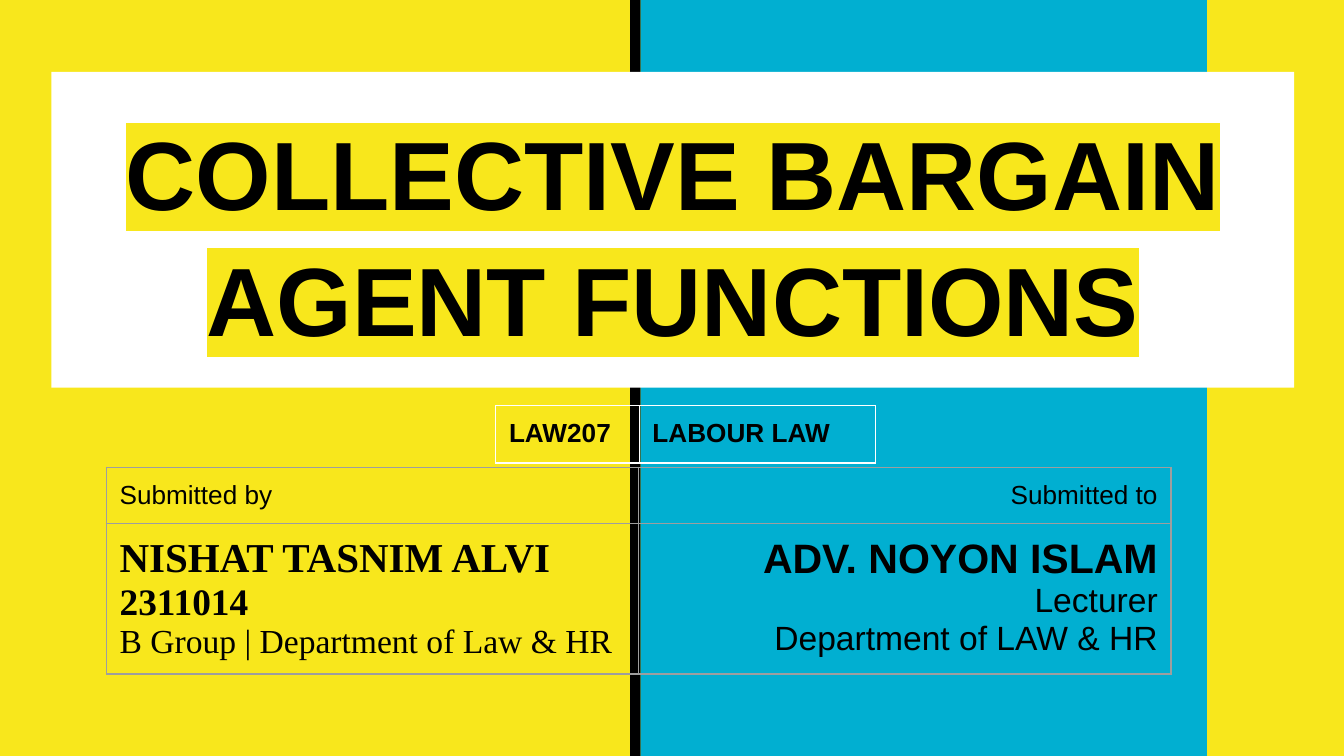
"""Build the title slide for a labour law presentation."""
from dataclasses import dataclass

from lxml import etree
from pptx import Presentation
from pptx.dml.color import RGBColor
from pptx.enum.shapes import MSO_SHAPE
from pptx.enum.text import MSO_ANCHOR, MSO_AUTO_SIZE, PP_ALIGN
from pptx.oxml.ns import qn
from pptx.util import Cm, Pt

RECTANGLE = MSO_SHAPE.RECTANGLE
LEFT, CENTER, RIGHT = PP_ALIGN.LEFT, PP_ALIGN.CENTER, PP_ALIGN.RIGHT
MIDDLE = MSO_ANCHOR.MIDDLE
NO_AUTOFIT = MSO_AUTO_SIZE.NONE

YELLOW = RGBColor(0xF8, 0xE7, 0x1C)
BLUE = RGBColor(0x01, 0xAF, 0xD1)
BLACK = RGBColor(0, 0, 0)
WHITE = RGBColor(0xFF, 0xFF, 0xFF)
GREY = RGBColor(0x9E, 0x9E, 0x9E)

SANS, SERIF = "Arial", "Times New Roman"
PAGE_WIDTH, PAGE_HEIGHT = 25.4, 14.29
INSET = Cm(0.25)


@dataclass
class Bar:
    left: float
    width: float
    color: RGBColor


@dataclass
class Line:
    text: str
    size: int = 14
    bold: bool = False
    font: str = SANS
    align: PP_ALIGN = LEFT


@dataclass
class Grid:
    left: float
    top: float
    columns: list[float]
    rows: list[float]
    border: RGBColor
    cells: list[list[list[Line]]]


BARS = [Bar(11.91, 0.2, BLACK), Bar(12.11, 10.7, BLUE)]

GRIDS = [
    Grid(2.01, 8.83, [10.06, 10.06], [1.06, 2.85], GREY, [
        [[Line("Submitted by")], [Line("Submitted to", align=RIGHT)]],
        [
            [
                Line("NISHAT TASNIM ALVI", 22, True, SERIF),
                Line("2311014", 20, True, SERIF),
                Line("B Group | Department of Law & HR", 18, font=SERIF),
            ],
            [
                Line("ADV. NOYON ISLAM", 22, True, align=RIGHT),
                Line("Lecturer", 18, align=RIGHT),
                Line("Department of LAW & HR", 18, align=RIGHT),
            ],
        ],
    ]),
    Grid(9.37, 7.67, [2.71, 4.46], [1.08], WHITE, [
        [[Line("LAW207", bold=True)], [Line("LABOUR LAW", bold=True)]],
    ]),
]


def draw_bar(page, bar: Bar) -> None:
    shape = page.shapes.add_shape(
        RECTANGLE, Cm(bar.left), 0, Cm(bar.width), Cm(PAGE_HEIGHT))
    shape.shadow.inherit = False
    shape.fill.solid()
    shape.fill.fore_color.rgb = bar.color
    shape.line.fill.background()


def add_color(parent, tag: str, color: RGBColor) -> None:
    holder = etree.SubElement(parent, qn(tag))
    etree.SubElement(holder, qn("a:srgbClr"), val=str(color))


def write_line(para, line: Line, highlight: RGBColor | None = None) -> None:
    para.alignment = line.align
    span = para.add_run()
    span.text = line.text
    span.font.size = Pt(line.size)
    span.font.bold = line.bold
    span.font.color.rgb = BLACK
    if highlight is not None:
        add_color(span.font.fill._xPr, "a:highlight", highlight)
    span.font.name = line.font


def set_insets(box) -> None:
    box.margin_left = box.margin_right = INSET
    box.margin_top = box.margin_bottom = INSET


def draw_title(page, line: Line) -> None:
    title = page.shapes.title
    title.element.getparent().append(title.element)
    title.left, title.top = Cm(0.97), Cm(1.36)
    title.width, title.height = Cm(23.49), Cm(5.97)
    title.fill.solid()
    title.fill.fore_color.rgb = WHITE
    box = title.text_frame
    set_insets(box)
    box.word_wrap = True
    box.auto_size = NO_AUTOFIT
    box.vertical_anchor = MIDDLE
    para = box.paragraphs[0]
    para.line_spacing = 1.08
    para.space_before = Pt(0)
    write_line(para, line, highlight=YELLOW)


def fill_cell(cell, lines: list[Line], border: RGBColor) -> None:
    set_insets(cell)
    properties = cell._tc.get_or_add_tcPr()
    for side in ("a:lnL", "a:lnR", "a:lnT", "a:lnB"):
        edge = etree.SubElement(properties, qn(side), w=str(Pt(0.75)))
        add_color(edge, "a:solidFill", border)
    cell.fill.background()
    box = cell.text_frame
    for index, line in enumerate(lines):
        para = box.add_paragraph() if index else box.paragraphs[0]
        write_line(para, line)


def draw_grid(page, grid: Grid) -> None:
    table = page.shapes.add_table(
        len(grid.rows), len(grid.columns), Cm(grid.left), Cm(grid.top),
        Cm(sum(grid.columns)), Cm(sum(grid.rows))).table
    table.first_row = table.horz_banding = False
    for column, width in zip(table.columns, grid.columns):
        column.width = Cm(width)
    for row, height, contents in zip(table.rows, grid.rows, grid.cells):
        row.height = Cm(height)
        for cell, lines in zip(row.cells, contents):
            fill_cell(cell, lines, grid.border)


def main() -> None:
    deck = Presentation()
    deck.slide_width, deck.slide_height = Cm(PAGE_WIDTH), Cm(PAGE_HEIGHT)
    page = deck.slides.add_slide(deck.slide_layouts.get_by_name("Title Only"))
    page.background.fill.solid()
    page.background.fill.fore_color.rgb = YELLOW
    for bar in BARS:
        draw_bar(page, bar)
    draw_title(page, Line("COLLECTIVE BARGAIN AGENT FUNCTIONS", 52, True, align=CENTER))
    for grid in GRIDS:
        draw_grid(page, grid)
    deck.save("out.pptx")


if __name__ == "__main__":
    main()
